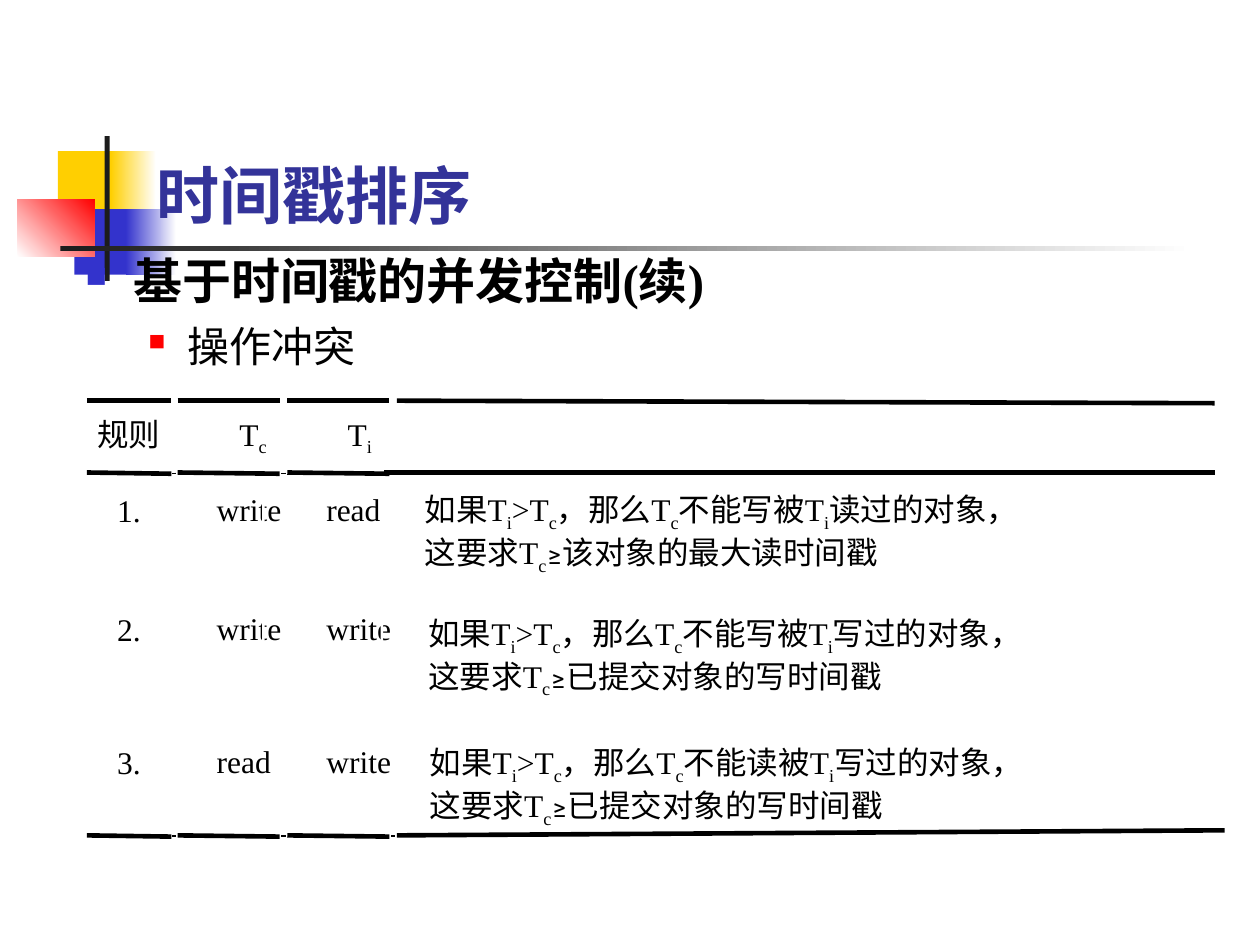
from dataclasses import dataclass

from lxml.etree import SubElement as Sub
from pptx import Presentation
from pptx.dml.color import RGBColor as RGB
from pptx.enum.shapes import MSO_CONNECTOR as LINE, MSO_SHAPE as SHAPE
from pptx.enum.text import MSO_ANCHOR as ANCHOR, MSO_AUTO_SIZE as FIT
from pptx.oxml.ns import qn
from pptx.util import Inches, Pt


@dataclass(frozen=True)
class Theme:
    gold: str = "FFCF01"
    blue: str = "3333CC"
    red: str = "FF0000"
    dark: str = "1C1C1C"
    white: str = "FFFFFF"
    black: str = "000000"
    navy: str = "333399"
    serif: str = "Times New Roman"
    sans: str = "Noto Sans CJK JP"
    math: str = "Karla"
    title: int = 36
    head: int = 28
    sub: int = 24
    cell: int = 18
    rule: float = 2.64


T = Theme()

# left, top, width, height, first colour, last colour (None if solid), angle
DECOR = [
    (0.46, 1.2, 0.48, 0.52, T.gold, None, 0),
    (0.88, 1.2, 0.36, 0.52, T.gold, T.white, 0),
    (0.59, 1.66, 0.46, 0.52, T.blue, None, 0),
    (1, 1.66, 0.4, 0.52, T.blue, T.white, 0),
    (0.14, 1.58, 0.61, 0.46, T.white, T.red, 45),
    (0.83, 1.08, 0.04, 1.15, T.dark, None, 0),
    (0.48, 1.95, 9, 0.04, T.dark, T.white, 0),
]

WIDE = {"write": 0.55, "read": 0.46}

# top, number, Tc action, Ti action
ROWS = [
    (3.89, "1.", "write", "read"),
    (4.83, "2.", "write", "write"),
    (5.89, "3.", "read", "write"),
]

# left, top, lines; "_" makes the next letter a subscript
NOTES = [
    (3.37, 3.89, ["如果T_i>T_c，那么T_c不能写被T_i读过的对象，",
                  "这要求T_c≥该对象的最大读时间戳"]),
    (3.4, 4.87, ["如果T_i>T_c，那么T_c不能写被T_i写过的对象，",
                 "这要求T_c≥已提交对象的写时间戳"]),
    (3.41, 5.9, ["如果T_i>T_c，那么T_c不能读被T_i写过的对象，",
                 "这要求T_c≥已提交对象的写时间戳"]),
]


def block(slide, left, top, wide, high, first, last=None, angle=0):
    box = slide.shapes.add_shape(SHAPE.RECTANGLE, Inches(left), Inches(top),
                                 Inches(wide), Inches(high))
    box.shadow.inherit = False
    box.line.fill.background()
    if last is None:
        box.fill.solid()
        box.fill.fore_color.rgb = RGB.from_string(first)
        return
    box.fill.gradient()
    box.fill.gradient_angle = angle
    for stop, color in zip(box.fill.gradient_stops, (first, last)):
        stop.color.rgb = RGB.from_string(color)


def gaps(slide, top, high, lefts):
    """White strips between the columns."""
    for left in lefts:
        block(slide, left, top, 0.02, high, T.white)


def style(run, size, color=T.black, font=T.serif, bold=False):
    run.font.size = Pt(size)
    run.font.bold = bold
    run.font.name = font
    run.font.color.rgb = RGB.from_string(color)
    Sub(run.font._element, qn("a:ea"), typeface=T.sans)


def frame(slide, left, top, wide, high):
    box = slide.shapes.add_textbox(Inches(left), Inches(top),
                                   Inches(wide), Inches(high))
    box.text_frame.word_wrap = True
    return box.text_frame


def bullet(para, color, share, left, hang):
    props = para._p.get_or_add_pPr()
    props.set("marL", str(Inches(left)))
    props.set("indent", str(-Inches(hang)))
    Sub(Sub(props, qn("a:buClr")), qn("a:srgbClr"), val=color)
    Sub(props, qn("a:buSzPct"), val=str(share * 1000))
    Sub(props, qn("a:buChar"), char="■")


def mixed(para, text):
    """Fill a paragraph, lowering each letter that follows "_"."""
    def put(part, low=False):
        run = para.add_run()
        run.text = part
        style(run, T.cell, font=T.math if part.startswith("≥") else T.serif)
        if low:
            run.font._element.set("baseline", "-25000")

    start, *rest = text.split("_")
    put(start)
    for part in rest:
        put(part[0], True)
        if part[1:]:
            put(part[1:])


def cell(slide, left, top, wide, high, *lines):
    body = frame(slide, left, top, wide, high)
    body.word_wrap = False
    body.auto_size = FIT.SHAPE_TO_FIT_TEXT
    body.margin_left = body.margin_right = 0
    body.margin_top = body.margin_bottom = 0
    body.text = "\n".join([""] * len(lines))
    for para, line in zip(body.paragraphs, lines):
        mixed(para, line)


def rule(slide, top, drop, dot, end, low):
    """Broken rule: short column parts, dots between, one long last part."""
    parts = [(0.69, 1.36), (1.38, 1.38), (1.41, 2.22), (2.25, 2.25),
             (2.28, 3.09), (dot, dot)]
    parts = [(a, b, top + drop) for a, b in parts]
    for left, right, base in parts + [(dot + 0.03, end, low)]:
        line = slide.shapes.add_connector(LINE.STRAIGHT, Inches(left),
                                          Inches(top), Inches(right),
                                          Inches(base))
        line.line.width = Pt(T.rule)
        line.line.color.rgb = RGB.from_string(T.black)
        Sub(line._element.spPr, qn("a:effectLst"))


def heading(slide):
    title = frame(slide, 1.14, 0.91, 7.4, 0.98)
    title.vertical_anchor = ANCHOR.BOTTOM
    title.text = "时间戳排序"
    style(title.paragraphs[0].runs[0], T.title, T.navy, T.sans, True)

    body = frame(slide, 0.58, 1.94, 9.14, 5.35)
    body.text = "基于时间戳的并发控制(续)\n操作冲突"
    head, sub = body.paragraphs
    style(head.runs[0], T.head, bold=True)
    style(sub.runs[0], T.sub)
    head.space_before, sub.space_before = Pt(7), Pt(6)
    sub.level = 1
    bullet(head, T.blue, 60, 0.38, 0.38)
    bullet(sub, T.red, 55, 0.81, 0.31)


def action(slide, top, num, first, second):
    cell(slide, 0.93, top + 0.01, 0.22, 0.3, num)
    cell(slide, 1.72, top, WIDE[first], 0.3, first)
    cell(slide, 2.59, top, WIDE[second], 0.3, second)


def rules(slide):
    gaps(slide, 6.05, 1.32, (1.08, 1.95, 2.81))
    cell(slide, 0.77, 3.29, 0.52, 0.3, "规则")
    cell(slide, 1.9, 3.29, 0.25, 0.34, "T_c")
    cell(slide, 2.76, 3.29, 0.23, 0.34, "T_i")
    rule(slide, 3.18, 0, 3.12, 9.64, 3.2)
    gaps(slide, 3.31, 0.44, (1.38, 2.25, 3.12))

    action(slide, *ROWS[0])
    rule(slide, 3.75, 0.01, 3.02, 9.64, 3.75)
    gaps(slide, 3.79, 1.32, (1.21, 2.08))
    action(slide, *ROWS[1])
    gaps(slide, 4.73, 1.32, (1.21, 2.08, 3.02))
    action(slide, *ROWS[2])
    rule(slide, 6.63, 0.01, 3.12, 9.72, 6.59)
    for left, top, lines in NOTES:
        cell(slide, left, top, 5.07, 0.68, *lines)


def main():
    deck = Presentation()
    deck.slide_width, deck.slide_height = Inches(10), Inches(7.5)
    slide = deck.slides.add_slide(deck.slide_layouts[6])
    for item in DECOR:
        block(slide, *item)
    heading(slide)
    rules(slide)
    deck.save("out.pptx")


if __name__ == "__main__":
    main()
